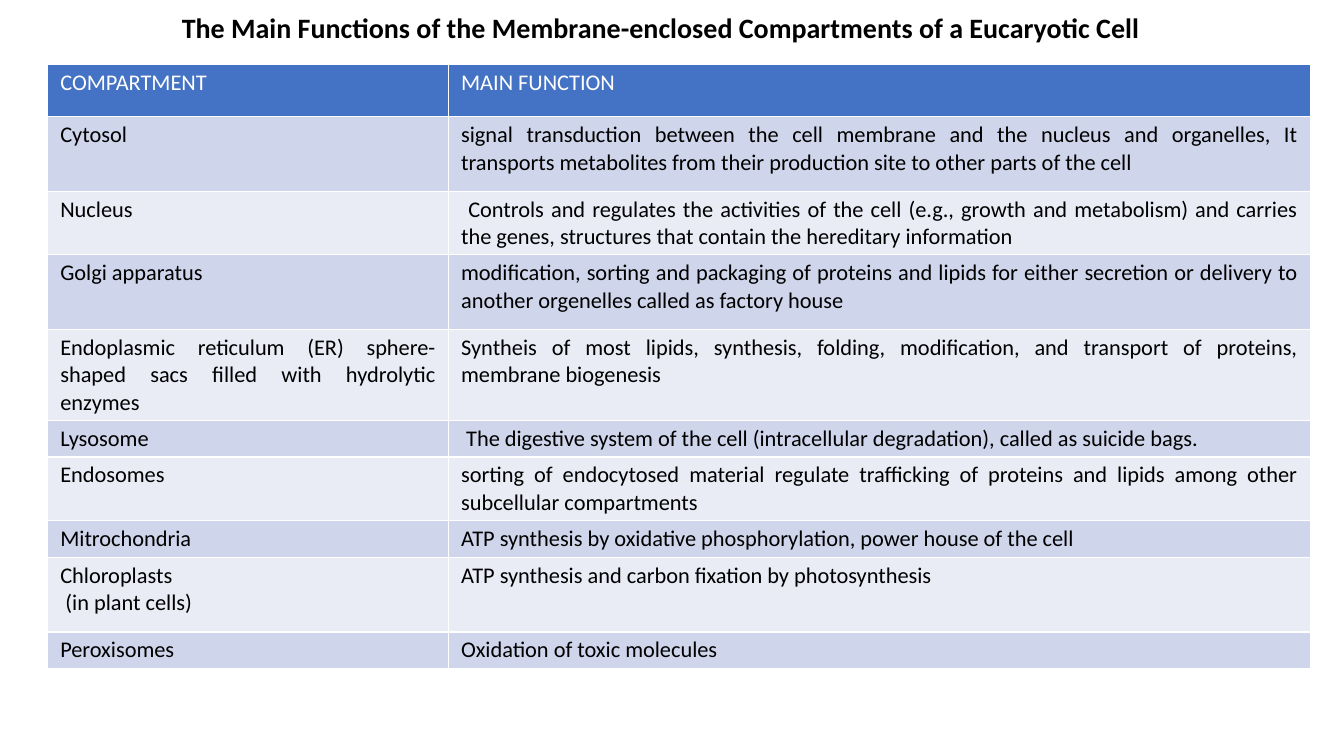
from dataclasses import dataclass

from lxml import etree
from pptx import Presentation
from pptx.dml.color import RGBColor
from pptx.enum import text
from pptx.oxml import ns
from pptx.util import Pt


@dataclass(frozen=True)
class Theme:
    font: str = "Calibri"
    title_size: int = 20
    body_size: int = 16
    ink: str = "000000"
    paper: str = "FFFFFF"
    header: str = "4472C4"
    bands: tuple[str, str] = ("CFD5EA", "E9EBF5")
    border_width: int = 1


@dataclass(frozen=True)
class Row:
    compartment: str
    function: str
    height: float


THEME = Theme()
COLUMN_WIDTHS = (286.3, 616.1)
ONE_LINE, TWO_LINES, THREE_LINES, ROOMY = 26.3, 45.4, 64.8, 53.3

ROWS = [
    Row("COMPARTMENT", "MAIN FUNCTION", 37.2),
    Row("Cytosol ", "signal transduction between the cell membrane and the nucleus and organelles, "
        "It transports metabolites from their production site to other parts of the cell", ROOMY),
    Row("Nucleus", " Controls and regulates the activities of the cell (e.g., growth and metabolism) "
        "and carries the genes, structures that contain the hereditary information", TWO_LINES),
    Row("Golgi apparatus", "modification, sorting and packaging of proteins and lipids for either "
        "secretion or delivery to another orgenelles called as factory house", ROOMY),
    Row("Endoplasmic reticulum (ER) sphere-shaped sacs filled with hydrolytic enzymes",
        "Syntheis of most lipids, synthesis, folding, modification, and transport of proteins, "
        "membrane biogenesis", THREE_LINES),
    Row("Lysosome", " The digestive system of the cell (intracellular degradation), "
        "called as suicide bags.", ONE_LINE),
    Row("Endosomes", "sorting of endocytosed material regulate trafficking of proteins and "
        "lipids among other subcellular compartments ", TWO_LINES),
    Row("Mitrochondria", "ATP synthesis by oxidative phosphorylation, power house of the cell",
        ONE_LINE),
    Row("Chloroplasts \n (in plant cells)", "ATP synthesis and carbon fixation by photosynthesis",
        ROOMY),
    Row("Peroxisomes ", "Oxidation of toxic molecules", ONE_LINE),
]


def style_paragraph(para, size: int, color: str, bold: bool, align) -> None:
    para.alignment = align
    para.font.name = THEME.font
    para.font.size = Pt(size)
    para.font.bold = bold
    para.font.color.rgb = RGBColor.from_string(color)


def add_borders(cell) -> None:
    properties = cell._tc.get_or_add_tcPr()
    for side in ("lnL", "lnR", "lnT", "lnB"):
        line = etree.SubElement(properties, ns.qn(f"a:{side}"), w=str(Pt(THEME.border_width)))
        fill = etree.SubElement(line, ns.qn("a:solidFill"))
        etree.SubElement(fill, ns.qn("a:srgbClr"), val=THEME.paper)


def fill_cell(cell, words: str, background: str, color: str) -> None:
    cell.margin_left = cell.margin_right = Pt(9.1)
    cell.margin_top = cell.margin_bottom = Pt(3.3)
    add_borders(cell)
    cell.fill.solid()
    cell.fill.fore_color.rgb = RGBColor.from_string(background)
    cell.text_frame.text = words
    for para in cell.text_frame.paragraphs:
        style_paragraph(para, THEME.body_size, color, False, text.PP_ALIGN.JUSTIFY)


def add_title(page, words: str) -> None:
    box = page.shapes.add_textbox(Pt(0), Pt(4.3), Pt(944), Pt(31.7))
    box.text_frame.word_wrap = True
    para = box.text_frame.paragraphs[0]
    para.text = words
    style_paragraph(para, THEME.title_size, THEME.ink, True, text.PP_ALIGN.CENTER)


def add_function_table(page, rows: list[Row]) -> None:
    frame = page.shapes.add_table(len(rows), len(COLUMN_WIDTHS), Pt(34), Pt(46.2),
                                  Pt(sum(COLUMN_WIDTHS)), Pt(sum(row.height for row in rows)))
    table = frame.table
    table.horz_banding = False
    for column, width in zip(table.columns, COLUMN_WIDTHS):
        column.width = Pt(width)
    for index, row in enumerate(rows):
        table.rows[index].height = Pt(row.height)
        is_header = index == 0
        background = THEME.header if is_header else THEME.bands[(index - 1) % 2]
        color = THEME.paper if is_header else THEME.ink
        for column_index, words in enumerate((row.compartment, row.function)):
            fill_cell(table.cell(index, column_index), words, background, color)


def main() -> None:
    deck = Presentation()
    deck.slide_width, deck.slide_height = Pt(960), Pt(540)
    page = deck.slides.add_slide(deck.slide_layouts[6])

    # Heading
    add_title(page, "The Main Functions of the Membrane-enclosed Compartments of a Eucaryotic Cell")

    # Compartments and their functions
    add_function_table(page, ROWS)

    deck.save("out.pptx")


if __name__ == "__main__":
    main()
